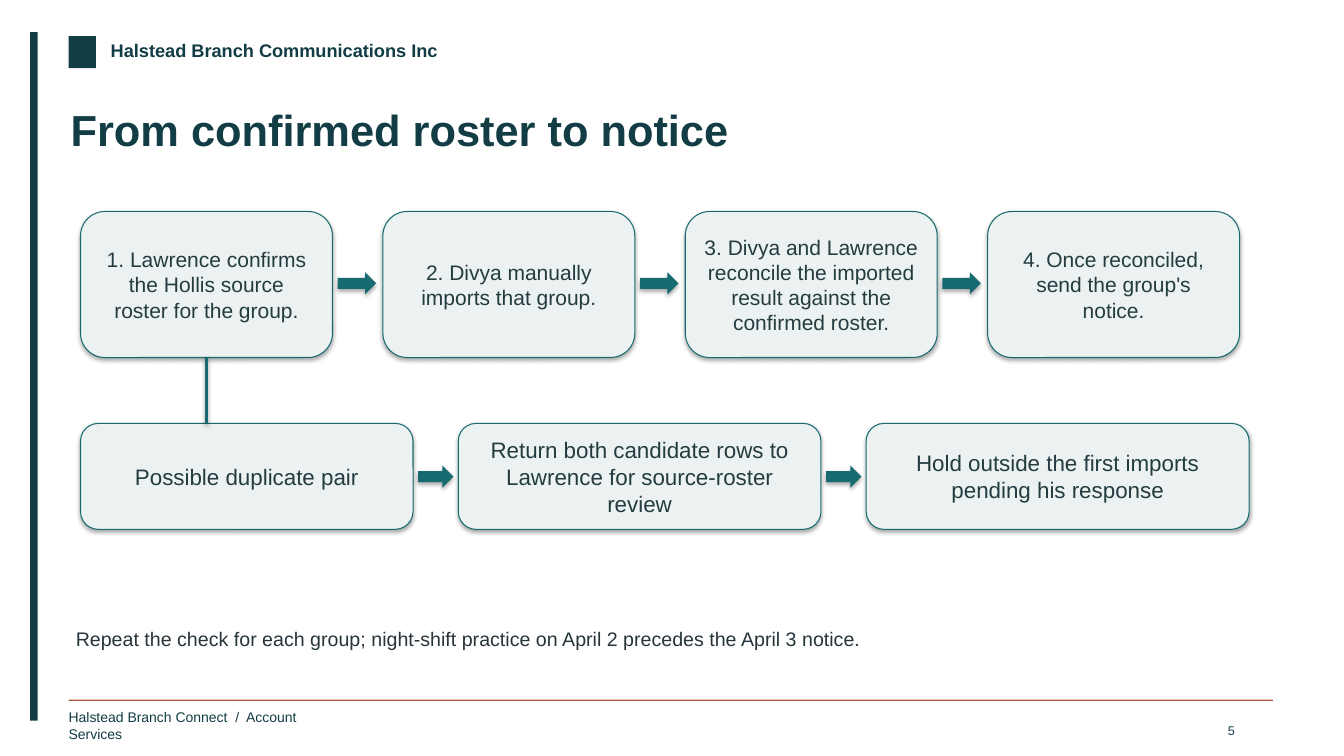
import pptx
import pptx.util
import pptx.dml.color
import pptx.enum.shapes
import pptx.enum.text

Cm = pptx.util.Cm
SHAPE = pptx.enum.shapes.MSO_SHAPE
ALIGN = pptx.enum.text.PP_ALIGN
ANCHOR = pptx.enum.text.MSO_ANCHOR
COLORS = {
    "navy": "133D45", "rust": "AF5636", "teal": "176B70", "mist": "EBF2F1",
    "step": "243C40", "body": "26353B", "number": "17404A",
}
rgb = {name: pptx.dml.color.RGBColor.from_string(c) for name, c in COLORS.items()}

prs = pptx.Presentation()
prs.slide_width = Cm(33.87)
prs.slide_height = Cm(19.05)
s = prs.slides.add_slide(prs.slide_layouts[6])


def add_block(kind, left, top, width, height, fill):
    sp = s.shapes.add_shape(kind, Cm(left), Cm(top), Cm(width), Cm(height))
    sp.fill.solid()
    sp.fill.fore_color.rgb = rgb[fill]
    sp.line.fill.background()
    return sp


def write(sp, text, size, color, align, bold, wrap, inset):
    tf = sp.text_frame
    tf.word_wrap = wrap
    tf.margin_left = tf.margin_right = Cm(inset[0])
    tf.margin_top = tf.margin_bottom = Cm(inset[1])
    p = tf.paragraphs[0]
    p.alignment = align
    r = p.add_run()
    r.text = text
    r.font.name = "Arial"
    r.font.size = pptx.util.Pt(size)
    r.font.bold = bold
    r.font.color.rgb = rgb[color]


for left, top, width, height, fill in [
    (0.76, 0.81, 0.19, 17.35, "navy"),
    (1.73, 0.91, 0.69, 0.81, "navy"),
    (1.73, 17.63, 30.35, 0.03, "rust"),
]:
    add_block(SHAPE.RECTANGLE, left, top, width, height, fill).shadow.inherit = False

for left, top, width, height, text, size, color, align, bold, wrap, inset in [
    (2.79, 0.99, 9.02, 0.69, "Halstead Branch Communications Inc",
     13, "navy", ALIGN.LEFT, True, False, (0, 0)),
    (1.73, 17.86, 6.6, 0.58, "Halstead Branch Connect  /  Account Services",
     10, "navy", ALIGN.LEFT, False, False, (0, 0)),
    (1.78, 2.59, 30.23, 2.18, "From confirmed roster to notice",
     31, "navy", ALIGN.LEFT, True, True, (0, 0)),
    (1.91, 15.8, 30.02, 1.12,
     "Repeat the check for each group; night-shift practice on April 2 precedes the April 3 notice.",
     14, "body", ALIGN.LEFT, False, True, (0, 0)),
    (29.97, 18.08, 1.4, 0.51, "5",
     9, "number", ALIGN.RIGHT, False, False, (0.25, 0.13)),
]:
    sp = s.shapes.add_textbox(Cm(left), Cm(top), Cm(width), Cm(height))
    write(sp, text, size, color, align, bold, wrap, inset)

main_steps = [
    (6.35, "1. Lawrence confirms the Hollis source roster for the group."),
    (6.35, "2. Divya manually imports that group."),
    (6.35, "3. Divya and Lawrence reconcile the imported result against the confirmed roster."),
    (6.35, "4. Once reconciled, send the group's notice."),
]
duplicate_steps = [
    (8.38, "Possible duplicate pair"),
    (9.14, "Return both candidate rows to Lawrence for source-roster review"),
    (9.65, "Hold outside the first imports pending his response"),
]

first_boxes = []
for top, height, gap, arrow_top, arrow_width, size, steps in [
    (5.33, 3.68, 1.27, 6.86, 0.97, 15, main_steps),
    (10.67, 2.67, 1.14, 11.73, 0.89, 16, duplicate_steps),
]:
    left = 2.03
    for i, (width, text) in enumerate(steps):
        if i > 0:
            add_block(SHAPE.RIGHT_ARROW, left - gap + 0.13, arrow_top, arrow_width, 0.56, "teal")
        sp = add_block(SHAPE.ROUNDED_RECTANGLE, left, top, width, height, "mist")
        sp.line.color.rgb = rgb["teal"]
        sp.line.width = pptx.util.Pt(0.75)
        sp.text_frame.vertical_anchor = ANCHOR.MIDDLE
        write(sp, text, size, "step", ALIGN.CENTER, False, True, (0.3, 0.13))
        if i == 0:
            first_boxes.append(sp)
        left += width + gap

confirm, duplicate = first_boxes
x = confirm.left + confirm.width // 2
branch = s.shapes.add_connector(
    pptx.enum.shapes.MSO_CONNECTOR.STRAIGHT, x, confirm.top + confirm.height, x, duplicate.top)
branch.begin_connect(confirm, 2)
branch.line.color.rgb = rgb["teal"]
branch.line.width = pptx.util.Pt(2)

prs.save("out.pptx")
